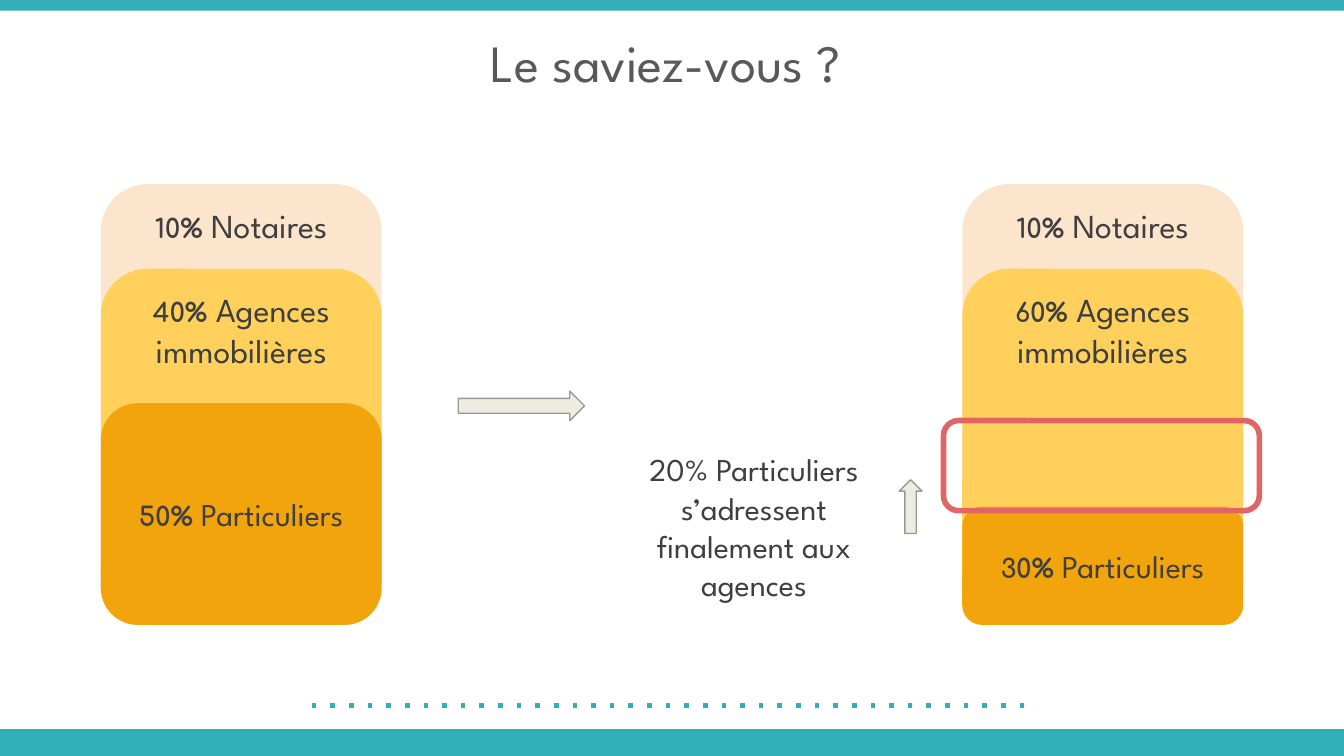
from dataclasses import dataclass

from pptx import Presentation
from pptx.dml.color import RGBColor as RGB
from pptx.enum.dml import MSO_LINE
from pptx.enum.shapes import MSO_CONNECTOR as CONN, MSO_SHAPE as SHAPE
from pptx.enum.text import MSO_ANCHOR as ANCHOR, MSO_AUTO_SIZE as AUTO, PP_ALIGN as ALIGN
from pptx.oxml.ns import qn
from pptx.oxml.xmlchemy import OxmlElement
from pptx.util import Inches, Pt


@dataclass(frozen=True)
class Theme:
    """Colours, fonts and type sizes of the slide."""
    teal: str = "32AEB8"
    title: str = "595959"
    text: str = "3F3F3F"
    notary: str = "FCE5CD"
    agency: str = "FFD15C"
    private: str = "F2A40D"
    arrow: str = "EEECE1"
    arrow_line: str = "999999"
    accent: str = "E06666"
    font: str = "League Spartan"
    number_font: str = "Comfortaa"
    title_size: int = 28
    label_size: int = 18
    body_size: int = 17
    number_size: int = 14


THEME = Theme()
COLS, ROWS = 100, 56.25
STACK_WIDTH, STACK_BOTTOM = 20.9, 46.5
NOTARY_TOP, AGENCY_TOP = 13.7, 20


def cells(*counts):
    """Turn counts of grid cells, a tenth of an inch each, into lengths."""
    return [Inches(n / 10) for n in counts]


def style_run(r, size, color=THEME.text, font=THEME.font, bold=False):
    """Set the look of one run."""
    r.font.size, r.font.name, r.font.bold = Pt(size), font, bold
    r.font.color.rgb = RGB.from_string(color)


def set_frame(tf, anchor, inset=0.05):
    """Wrap a text frame, anchor it and set its insets."""
    tf.word_wrap, tf.auto_size, tf.vertical_anchor = True, AUTO.NONE, anchor
    tf.margin_left = tf.margin_right = Inches(0.1)
    tf.margin_top = tf.margin_bottom = Inches(inset)


def add_box(s, kind, box, fill=None, line=None, width=0.75):
    """Add a flat preset shape on the grid."""
    sp = s.shapes.add_shape(kind, *cells(*box))
    sp.shadow.inherit = False
    if fill:
        sp.fill.solid()
        sp.fill.fore_color.rgb = RGB.from_string(fill)
    else:
        sp.fill.background()
    if line:
        sp.line.color.rgb = RGB.from_string(line)
        sp.line.width = Pt(width)
    else:
        sp.line.fill.background()
    return sp


def add_title(s, text):
    """Place and format the title placeholder."""
    sp = s.shapes.title
    sp.left, sp.top, sp.width, sp.height = cells(0, 1.4, COLS, 6.3)
    set_frame(sp.text_frame, ANCHOR.MIDDLE)
    sp.text_frame.text = text
    p = sp.text_frame.paragraphs[0]
    p.alignment = ALIGN.CENTER
    style_run(p.runs[0], THEME.title_size, THEME.title)


def add_dotted_line(s, left, right, row):
    """Draw the dotted rule above the footer band."""
    sp = s.shapes.add_connector(CONN.STRAIGHT, *cells(left, row, right, row))
    sp.line.color.rgb = RGB.from_string(THEME.teal)
    sp.line.width = Pt(2.5)
    sp.line.dash_style = MSO_LINE.ROUND_DOT
    sp.element.find(".//" + qn("a:prstDash")).set("val", "dot")
    sp.element.spPr.append(OxmlElement("a:effectLst"))


def add_stack(s, left, agency_share, private_share, private_top):
    """Overlap three rounded tiers that share one bottom edge."""
    tiers = (
        (NOTARY_TOP, THEME.notary, "10%", " Notaires", THEME.label_size, ANCHOR.TOP),
        (AGENCY_TOP, THEME.agency, agency_share, " Agences immobilières",
         THEME.label_size, ANCHOR.TOP),
        (private_top, THEME.private, private_share, " Particuliers",
         THEME.body_size, ANCHOR.MIDDLE),
    )
    for top, fill, share, label, size, anchor in tiers:
        box = (left, top, STACK_WIDTH, STACK_BOTTOM - top)
        tf = add_box(s, SHAPE.ROUNDED_RECTANGLE, box, fill).text_frame
        set_frame(tf, anchor)
        p = tf.paragraphs[0]
        p.alignment = ALIGN.CENTER
        for text in (share, label):
            p.add_run().text = text
        number, name = p.runs
        style_run(number, THEME.number_size, font=THEME.number_font, bold=True)
        style_run(name, size)


def add_note(s, box, text):
    """Add a centred text box."""
    tf = s.shapes.add_textbox(*cells(*box)).text_frame
    set_frame(tf, ANCHOR.TOP, 0.1)
    tf.text = text
    p = tf.paragraphs[0]
    p.alignment = ALIGN.CENTER
    style_run(p.runs[0], THEME.body_size)


def main():
    """Build and save the slide."""
    prs = Presentation()
    prs.slide_width, prs.slide_height = cells(COLS, ROWS)
    s = prs.slides.add_slide(prs.slide_layouts[5])
    for top, height in ((0, 0.8), (ROWS - 2, 2)):
        add_box(s, SHAPE.RECTANGLE, (0, top, COLS, height), THEME.teal)
    add_title(s, "Le saviez-vous ? ")
    add_dotted_line(s, 23.2, COLS - 23.2, 52.5)
    add_stack(s, 7.5, "40%", "50%", 30)
    add_stack(s, COLS - 7.5 - STACK_WIDTH, "60%", "30%", 37.7)
    for kind, box in ((SHAPE.RIGHT_ARROW, (34.1, 29.1, 9.4, 2.2)),
                      (SHAPE.UP_ARROW, (66.9, 35.7, 1.7, 4))):
        add_box(s, kind, box, THEME.arrow, THEME.arrow_line)
    add_note(s, (45.9, 32.5, 20.4, 8.8),
             "20% Particuliers s’adressent finalement aux agences")
    add_box(s, SHAPE.ROUNDED_RECTANGLE, (70.2, 31.3, 23.5, 6.7),
            line=THEME.accent, width=3)
    prs.save("out.pptx")


if __name__ == "__main__":
    main()
